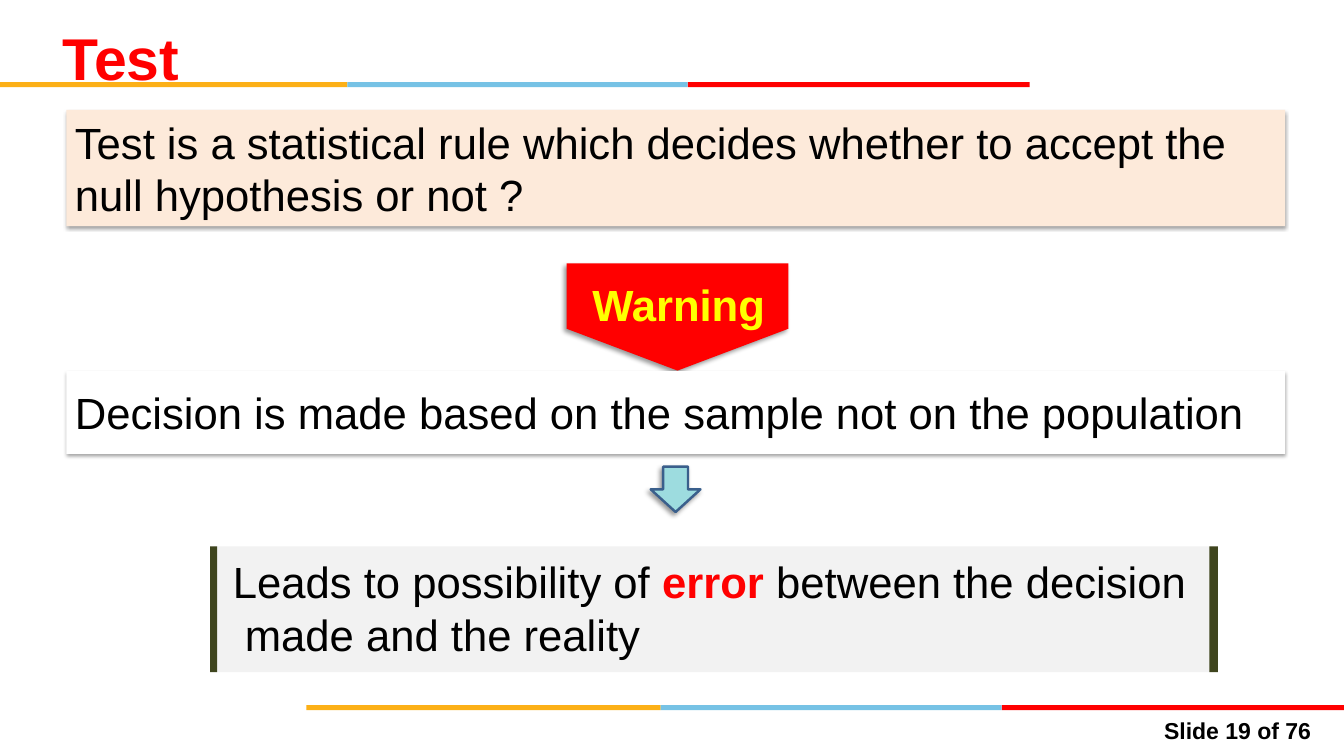
from lxml import etree
from pptx import Presentation
from pptx.dml.color import RGBColor
from pptx.enum.shapes import MSO_SHAPE
from pptx.enum.text import MSO_ANCHOR, PP_ALIGN
from pptx.oxml.ns import qn
from pptx.util import Cm, Pt

RECT = MSO_SHAPE.RECTANGLE
PLATE = MSO_SHAPE.PENTAGON
ARROW = MSO_SHAPE.DOWN_ARROW
TOP, MIDDLE = MSO_ANCHOR.TOP, MSO_ANCHOR.MIDDLE
LEFT, RIGHT = PP_ALIGN.LEFT, PP_ALIGN.RIGHT

BLACK = RGBColor(0x00, 0x00, 0x00)
WHITE = RGBColor(0xFF, 0xFF, 0xFF)
RED = RGBColor(0xFF, 0x00, 0x00)
YELLOW = RGBColor(0xFF, 0xFF, 0x00)
AMBER = RGBColor(0xFC, 0xB0, 0x17)
SKY = RGBColor(0x76, 0xC2, 0xE5)
PEACH = RGBColor(0xFD, 0xEA, 0xDA)
AQUA = RGBColor(0x9D, 0xDC, 0xDF)
NAVY = RGBColor(0x3A, 0x5F, 0x8C)
GREY = RGBColor(0xF2, 0xF2, 0xF2)
OLIVE = RGBColor(0x3F, 0x45, 0x1E)

# Shadow values: opacity %, blur pt, distance pt, angle in degrees
SOFT = (35, 3.1, 1.8, 90)
SLANT = (40, 4, 3, 135)


class Board:
    def __init__(self, slide, font="Arial", size=36):
        self.slide = slide
        self.font = font
        self.size = size

    def shape(self, kind, x, y, w, h, fill, line=None, shade=None):
        item = self.slide.shapes.add_shape(kind, Cm(x), Cm(y), Cm(w), Cm(h))
        item.shadow.inherit = False
        item.fill.solid()
        item.fill.fore_color.rgb = fill
        if line:
            item.line.color.rgb = line
            item.line.width = Pt(2)
        else:
            item.line.fill.background()
        if shade:
            self.shade(item, *shade)
        return item

    def shade(self, item, alpha, blur, dist, angle):
        """Give the shape a black outer shadow."""
        effects = item._element.spPr.find(qn("a:effectLst"))
        outer = etree.SubElement(
            effects, qn("a:outerShdw"), blurRad=str(Pt(blur)),
            dist=str(Pt(dist)), dir=str(angle * 60000), rotWithShape="0")
        color = etree.SubElement(outer, qn("a:srgbClr"), val=str(BLACK))
        etree.SubElement(color, qn("a:alpha"), val=str(alpha * 1000))

    def stripe(self, y, edges):
        """Draw a three-coloured rule between the given edges."""
        for x, end, color in zip(edges, edges[1:], (AMBER, SKY, RED)):
            self.shape(RECT, x, y, end - x, 0.15, color)

    def label(self, x, y, w, h, *lines, **style):
        box = self.slide.shapes.add_textbox(Cm(x), Cm(y), Cm(w), Cm(h))
        self.letter(box, *lines, **style)

    def letter(self, item, *lines, size=None, color=BLACK, bold=False,
               align=LEFT, anchor=TOP, wrap=True, space=None, indent=0):
        """Fill a shape; a line is a string or a list of (text, color, bold)."""
        frame = item.text_frame
        frame.word_wrap = wrap
        frame.vertical_anchor = anchor
        for i, line in enumerate(lines):
            para = frame.add_paragraph() if i else frame.paragraphs[0]
            para.alignment = align
            if space:
                para.line_spacing = space
            if i and indent:
                para._p.get_or_add_pPr().set("marL", str(Cm(indent)))
            parts = [(line, color, bold)] if isinstance(line, str) else line
            for text, tint, heavy in parts:
                run = para.add_run()
                run.text = text
                run.font.name = self.font
                run.font.size = Pt(size or self.size)
                run.font.bold = heavy
                run.font.color.rgb = tint


def main():
    deck = Presentation()
    deck.slide_width, deck.slide_height = Cm(39.12), Cm(22)
    board = Board(deck.slides.add_slide(deck.slide_layouts[6]))

    board.stripe(2.39, (0, 10.11, 20.02, 29.97))
    board.stripe(20.52, (8.92, 19.23, 29.16, 39.12))
    board.label(32.69, 20.73, 5.72, 1, "Slide 19 of 76",
                size=19, bold=True, align=RIGHT)
    board.label(1.57, 0.2, 35.2, 1.9, "Test", size=48.6, color=RED,
                bold=True, anchor=MIDDLE, space=1.5)

    rule = board.shape(RECT, 1.93, 3.2, 35.48, 3.38, PEACH, shade=SOFT)
    board.letter(rule, "Test is a statistical rule which decides whether to "
                 "accept the null hypothesis or not ?", anchor=MIDDLE)

    plate = board.shape(PLATE, 18.16, 6, 3.12, 6.45, RED, shade=SLANT)
    plate.rotation = 90
    plate.adjustments[0] = 0.39
    board.label(16.99, 7.95, 5.59, 1.8, "Warning", color=YELLOW,
                bold=True, wrap=False)

    basis = board.shape(RECT, 1.93, 10.8, 35.48, 2.41, WHITE, shade=SOFT)
    board.letter(basis, "Decision is made based on the sample not on the "
                 "population", anchor=MIDDLE)
    board.shape(ARROW, 18.94, 13.58, 1.45, 1.32, AQUA, NAVY, SLANT)

    for x, w, color in ((6.22, 29.11, GREY), (6.12, 0.2, OLIVE),
                        (35.2, 0.25, OLIVE)):
        board.shape(RECT, x, 15.9, w, 3.66, color)
    board.label(6.53, 16.03, 28.52, 3.33,
                [("Leads to possibility of ", BLACK, False),
                 ("error ", RED, True),
                 ("between the decision", BLACK, False)],
                "made and the reality", indent=0.35)

    deck.save("out.pptx")


if __name__ == "__main__":
    main()
